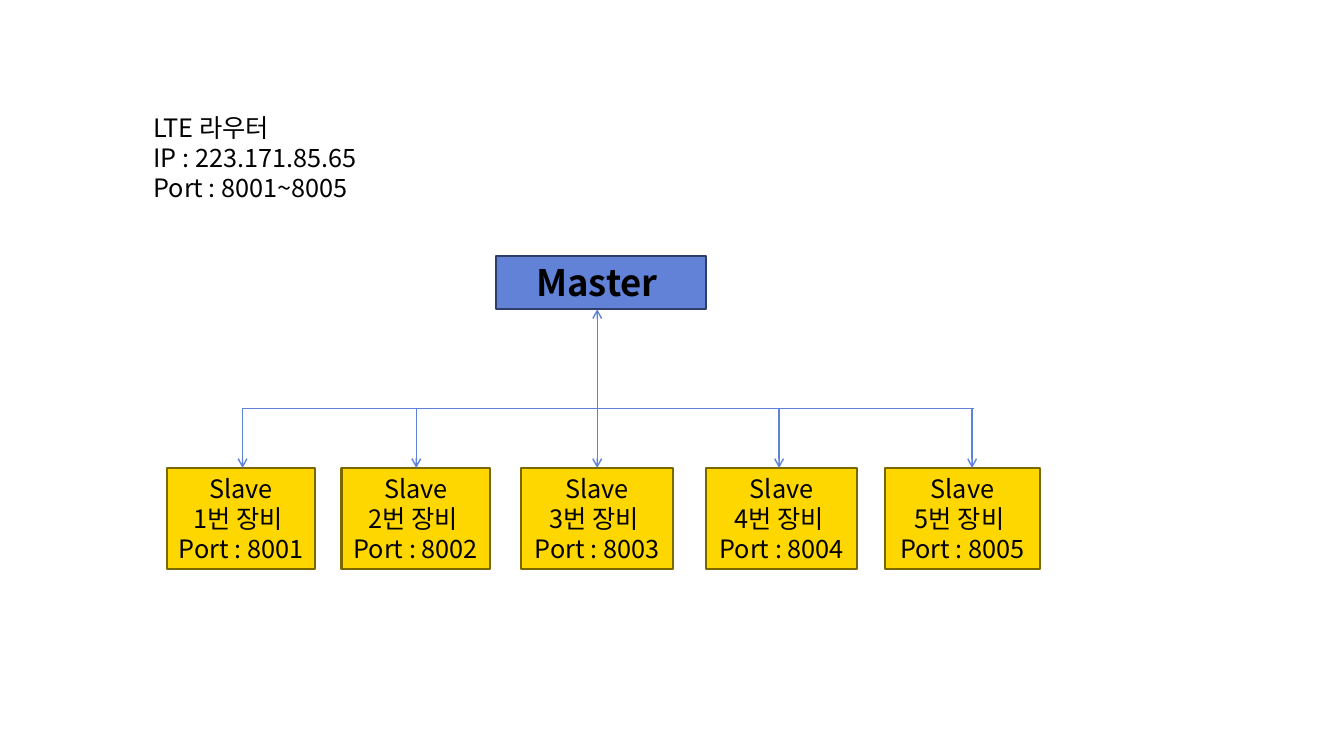
from dataclasses import dataclass

from lxml.etree import SubElement
from pptx import Presentation
from pptx.dml.color import RGBColor as Rgb
from pptx.enum.shapes import MSO_CONNECTOR as Connector, MSO_SHAPE as Shape
from pptx.enum.text import MSO_ANCHOR as Anchor, PP_ALIGN as Align
from pptx.oxml.ns import qn
from pptx.util import Pt

PX = 9144
SLIDE_SIZE = (1330, 747)
BUS_Y, SLAVE_TOP, SLAVE_HEIGHT = 404, 463, 100
MASTER_BOX = (491, 253, 208, 53)
MASTER_X = 591
SLAVES = [(165, 147, 240), (338, 147, 412), (516, 150, MASTER_X), (699, 149, 771), (876, 153, 962)]
BUS_ENDS = (240, 964)


@dataclass(frozen=True)
class Theme:
    font: str = "Noto Sans CJK KR"
    body: int = 18
    heading: int = 26
    leading: float = 1.19
    border: float = 1.5
    wire: float = 1
    ink: str = "000000"
    slave_fill: str = "FFD700"
    slave_line: str = "7A6700"
    master_fill: str = "6182D6"
    master_line: str = "2E3E67"
    wire_color: str = "5E81D9"


THEME = Theme()


def px(*lengths):
    return [length * PX for length in lengths]


def apply(target, formats):
    for name, value in formats.items():
        setattr(target, name, value)


def write(frame, lines, size, align, bold=False):
    frame.text = "\n".join(lines)
    for paragraph in frame.paragraphs:
        apply(paragraph, {"alignment": align, "line_spacing": Pt(round(size * THEME.leading, 2))})
        for run in paragraph.runs:
            apply(run.font, {"name": THEME.font, "size": Pt(size), "bold": bold})
            run.font.color.rgb = Rgb.from_string(THEME.ink)
            SubElement(run.font._element, qn("a:ea"), typeface=THEME.font)


def add_label(slide, box, lines):
    frame = slide.shapes.add_textbox(*px(*box)).text_frame
    frame.word_wrap = True
    write(frame, lines, THEME.body, Align.LEFT)


def add_node(slide, box, lines, fill, line, size, bold=False):
    node = slide.shapes.add_shape(Shape.RECTANGLE, *px(*box))
    node.shadow.inherit = False
    node.fill.solid()
    node.fill.fore_color.rgb = Rgb.from_string(fill)
    node.line.color.rgb = Rgb.from_string(line)
    node.line.width = Pt(THEME.border)
    apply(node.text_frame, {"word_wrap": False, "vertical_anchor": Anchor.MIDDLE})
    write(node.text_frame, lines, size, Align.CENTER, bold)


def add_wire(slide, start, end, arrow=True):
    wire = slide.shapes.add_connector(Connector.STRAIGHT, *px(*start, *end))
    wire.line.color.rgb = Rgb.from_string(THEME.wire_color)
    wire.line.width = Pt(THEME.wire)
    if arrow:
        SubElement(wire.line._get_or_add_ln(), qn("a:tailEnd"), type="arrow")
    SubElement(wire._element.spPr, qn("a:effectLst"))


def main():
    deck = Presentation()
    width, height = px(*SLIDE_SIZE)
    apply(deck, {"slide_width": width, "slide_height": height})
    slide = deck.slides.add_slide(deck.slide_layouts.get_by_name("Blank"))

    add_label(slide, (142, 106, 226, 130), ["LTE 라우터", "IP : 223.171.85.65", "Port : 8001~8005"])
    add_node(slide, MASTER_BOX, ["Master "], THEME.master_fill, THEME.master_line, THEME.heading, bold=True)
    add_wire(slide, (MASTER_X, BUS_Y), (MASTER_X, MASTER_BOX[1] + MASTER_BOX[3]))
    for number, (left, slave_width, drop_x) in enumerate(SLAVES, 1):
        lines = ["Slave", f"{number}번 장비 ", f"Port : {8000 + number}"]
        slave_box = (left, SLAVE_TOP, slave_width, SLAVE_HEIGHT)
        add_node(slide, slave_box, lines, THEME.slave_fill, THEME.slave_line, THEME.body)
        add_wire(slide, (drop_x, BUS_Y), (drop_x, SLAVE_TOP))
    add_wire(slide, (BUS_ENDS[0], BUS_Y), (BUS_ENDS[1], BUS_Y), arrow=False)

    deck.save("out.pptx")


if __name__ == "__main__":
    main()
